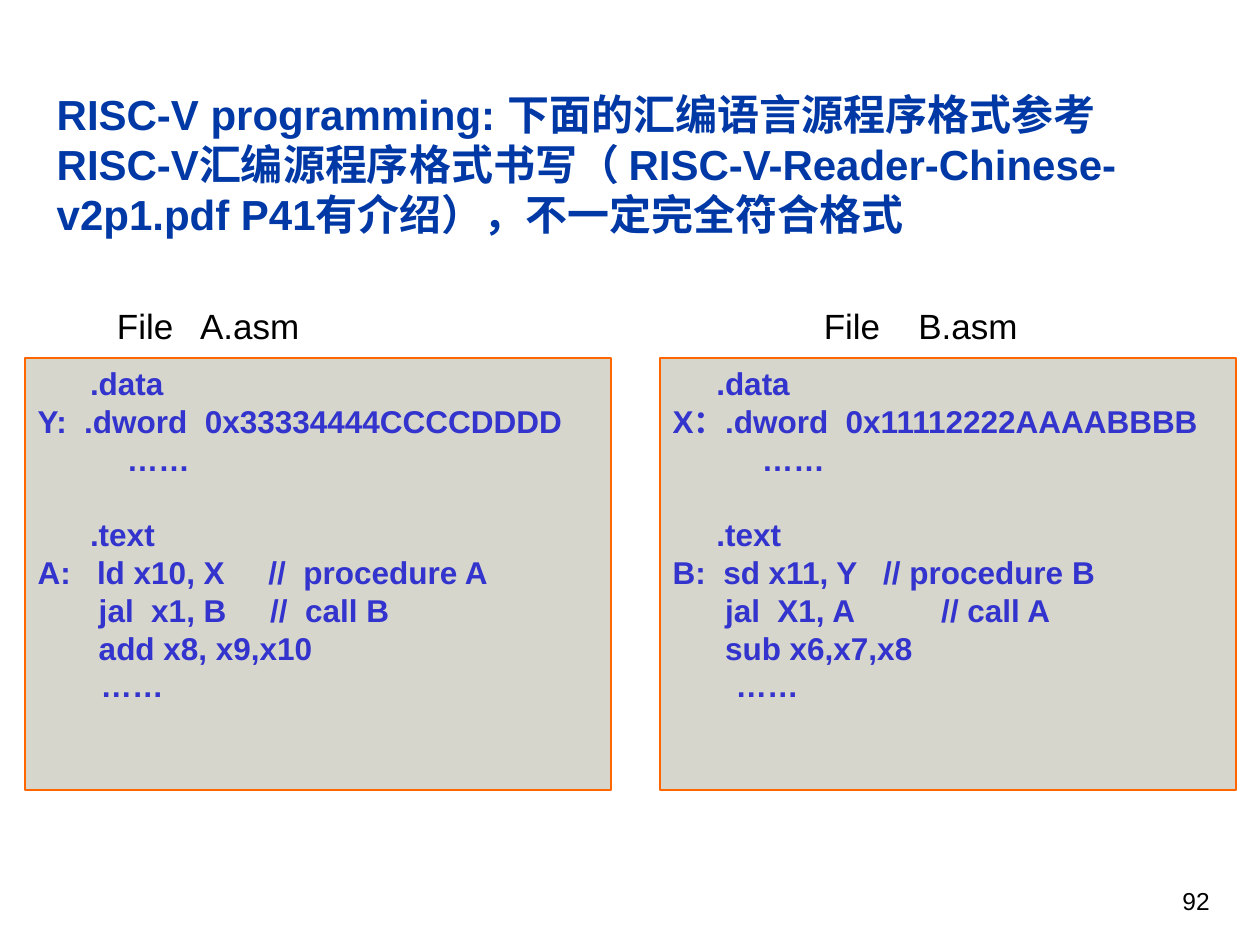
from lxml import etree
from pptx import Presentation
from pptx.dml.color import RGBColor
from pptx.enum.shapes import MSO_SHAPE
from pptx.enum.text import MSO_ANCHOR, PP_ALIGN
from pptx.oxml.ns import qn
from pptx.util import Inches, Pt

RECT = MSO_SHAPE.RECTANGLE
TOP, BOTTOM = MSO_ANCHOR.TOP, MSO_ANCHOR.BOTTOM
LEFT, RIGHT = PP_ALIGN.LEFT, PP_ALIGN.RIGHT

# Content
TITLE = ("RISC-V programming: 下面的汇编语言源程序格式参考"
         "RISC-V汇编源程序格式书写（ RISC-V-Reader-Chinese-v2p1.pdf P41有介绍），"
         "不一定完全符合格式")
FILES = "File\tA.asm\tFile\tB.asm"
PAGE = "92"
CODE_A = [
    "      .data",
    "Y:  .dword  0x33334444CCCCDDDD",
    "\t   ……",
    "",
    "      .text",
    "A:   ld x10, X     //  procedure A",
    "       jal  x1, B     //  call B",
    "       add x8, x9,x10",
    "\t……",
]
CODE_B = [
    "     .data",
    "X：.dword  0x11112222AAAABBBB",
    "\t   ……",
    "",
    "     .text",
    "B:  sd x11, Y   // procedure B",
    "      jal  X1, A          // call A",
    "      sub x6,x7,x8",
    "\t……",
]

# Layout and formats
PANELS = [(0.2, 4.65, CODE_A), (5.24, 4.57, CODE_B)]  # left, width, code
PANEL_TOP, PANEL_HIGH = 2.84, 3.43
STOPS = (0.66, 5.61, 6.36)
COLORS = {"title": "0039A6", "code": "3333CD", "text": "000000",
          "panel": "333300", "edge": "FF6600"}
FONTS = {
    "title": {"size": Pt(24), "bold": True},
    "code": {"size": Pt(18), "bold": True},
    "label": {"size": Pt(20), "bold": False},
    "page": {"size": Pt(14), "bold": False},
}


def rgb(name):
    return RGBColor.from_string(COLORS[name])


def write(shape, lines, style, color, align=LEFT, anchor=TOP, stops=()):
    frame = shape.text_frame
    frame.word_wrap = True
    frame.vertical_anchor = anchor
    for i, line in enumerate(lines):
        para = frame.add_paragraph() if i else frame.paragraphs[0]
        para.text = line
        para.alignment = align
        if stops:
            tabs = etree.SubElement(para._p.get_or_add_pPr(), qn("a:tabLst"))
            for stop in stops:
                etree.SubElement(tabs, qn("a:tab"), pos=str(Inches(stop)), algn="l")
        for font in [para.font] + [run.font for run in para.runs]:
            font.name = "Arial"
            font.color.rgb = rgb(color)
            for key, value in FONTS[style].items():
                setattr(font, key, value)
        if not line:
            end = etree.SubElement(para._p, qn("a:endParaRPr"))
            end.set("sz", str(int(FONTS[style]["size"].pt * 100)))


def box(left, top, width, high):
    return [Inches(v) for v in (left, top, width, high)]


deck = Presentation()
deck.slide_width, deck.slide_height = Inches(10), Inches(7.5)
slide = deck.slides.add_slide(deck.slide_layouts[5])
shapes = slide.shapes

# Title
title = shapes.title
title.left, title.top, title.width, title.height = box(0.35, 0.64, 9.34, 1.31)
write(title, [TITLE], "title", "title", anchor=BOTTOM)

# Code panels
for left, width, code in PANELS:
    panel = shapes.add_shape(RECT, *box(left, PANEL_TOP, width, PANEL_HIGH))
    panel.shadow.inherit = False
    panel.fill.solid()
    panel.fill.fore_color.rgb = rgb("panel")
    tint = panel._element.spPr.find(qn("a:solidFill"))[0]
    etree.SubElement(tint, qn("a:alpha"), val="20000")
    panel.line.color.rgb = rgb("edge")
    panel.line.width = Pt(1)
    write(panel, code, "code", "code")

# File names above the panels
names = shapes.add_textbox(*box(0.83, 2.37, 8.5, 0.43))
write(names, [FILES], "label", "text", stops=STOPS)

# Page number
page = shapes.add_textbox(*box(7.2, 6.98, 2.5, 0.52))
write(page, [PAGE], "page", "text", align=RIGHT)

deck.save("out.pptx")
